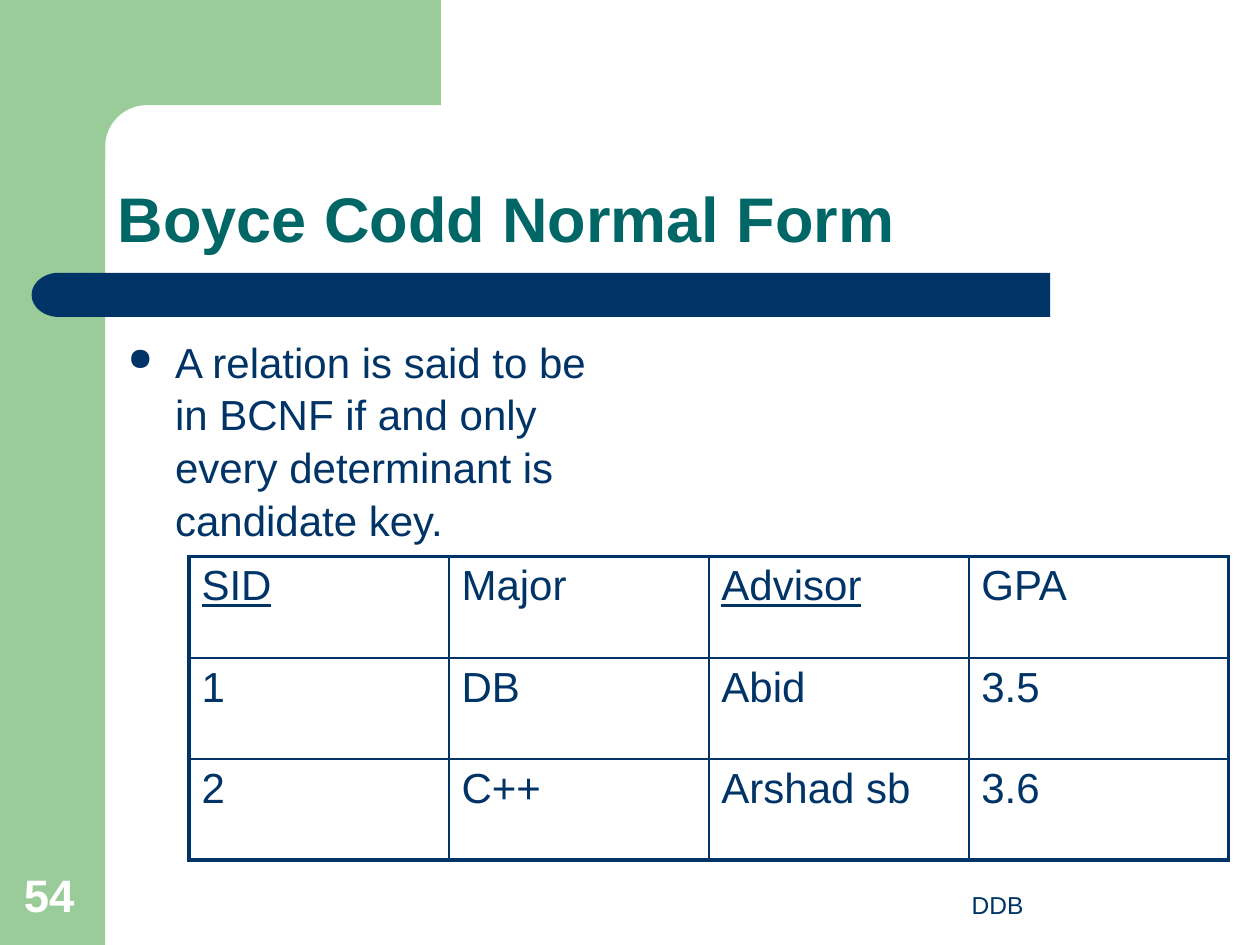
from math import cos, sin, radians
from lxml import etree
from pptx import Presentation
from pptx.dml.color import RGBColor
from pptx.enum.shapes import MSO_SHAPE
from pptx.enum.text import MSO_ANCHOR, MSO_AUTO_SIZE, PP_ALIGN
from pptx.oxml import parse_xml
from pptx.util import Cm, Pt

RECT, DELAY = MSO_SHAPE.RECTANGLE, MSO_SHAPE.FLOWCHART_DELAY
TOP, BOTTOM = MSO_ANCHOR.TOP, MSO_ANCHOR.BOTTOM
LEFT, CENTER = PP_ALIGN.LEFT, PP_ALIGN.CENTER
FIXED = MSO_AUTO_SIZE.NONE
GREEN = RGBColor(0x99, 0xCC, 0x99)
NAVY = RGBColor(0x00, 0x33, 0x66)
TEAL = RGBColor(0x00, 0x66, 0x66)
WHITE = RGBColor(0xFF, 0xFF, 0xFF)
NS = "http://schemas.openxmlformats.org/drawingml/2006/main"


def write(frame, text, size=24, color=NAVY, bold=False, under=False,
          align=LEFT, anchor=TOP, lead=1.0):
    frame.word_wrap = True
    frame.vertical_anchor = anchor
    par = frame.paragraphs[0]
    par.alignment = align
    par.line_spacing = lead
    run = par.add_run()
    run.text = text
    font = run.font
    font.name, font.size, font.bold = "Arial", Pt(size), bold
    font.underline = under
    font.color.rgb = color
    return par


def paint(shape, color):
    shape.shadow.inherit = False
    shape.fill.solid()
    shape.fill.fore_color.rgb = color
    shape.line.fill.background()


deck = Presentation()
deck.slide_width, deck.slide_height = Cm(25.4), Cm(19.05)
slide = deck.slides.add_slide(deck.slide_layouts[5])
shapes = slide.shapes

paint(shapes.add_shape(RECT, 0, 0, Cm(2.12), Cm(19.05)), GREEN)

mid, rad = 2.96, 0.84
arc = [(mid - rad * sin(radians(a)), mid - rad * cos(radians(a)))
       for a in range(0, 91, 5)]
edge = [(8.89, 2.12)] + arc + [(2.12, 3.25), (1.27, 3.25), (1.27, 0)]
pen = shapes.build_freeform(Cm(8.89), 0)
pen.add_line_segments([(Cm(x), Cm(y)) for x, y in edge])
paint(pen.convert_to_shape(), GREEN)

paint(shapes.add_shape(RECT, Cm(1.7), Cm(5.5), Cm(19.47), Cm(0.89)), NAVY)
cap = shapes.add_shape(DELAY, Cm(0.64), Cm(5.5), Cm(1.09), Cm(0.89))
paint(cap, NAVY)
cap._element.spPr.xfrm.set("flipH", "1")

foot = shapes.add_textbox(Cm(16.09), Cm(17.35), Cm(8.04), Cm(1.32))
write(foot.text_frame, "DDB", size=14, align=CENTER, anchor=BOTTOM)
page = shapes.add_textbox(Cm(0.23), Cm(17.35), Cm(1.63), Cm(1.35))
write(page.text_frame, "54", size=26, color=WHITE, bold=True, anchor=BOTTOM)

title = shapes.title
title.left, title.top = Cm(2.12), Cm(2.12)
title.width, title.height = Cm(22.01), Cm(3.17)
title.text_frame.auto_size = FIXED
write(title.text_frame, "Boyce Codd Normal Form", size=36, color=TEAL,
      bold=True, anchor=BOTTOM, lead=0.9)
shapes._spTree.append(title._element)

body = shapes.add_textbox(Cm(2.33), Cm(6.6), Cm(10.46), Cm(10.34))
par = write(body.text_frame, "A relation is said to be in BCNF if and only "
            "every determinant is candidate key.", lead=1.05)
props = par._p.get_or_add_pPr()
props.set("marL", str(Cm(0.95)))
props.set("indent", str(Cm(-0.95)))
for part in (f'<a:buClr xmlns:a="{NS}"><a:srgbClr val="{NAVY}"/></a:buClr>',
             f'<a:buSzPct xmlns:a="{NS}" val="75000"/>',
             f'<a:buChar xmlns:a="{NS}" char="●"/>'):
    props.append(parse_xml(part))

rows = [("SID", "Major", "Advisor", "GPA"),
        ("1", "DB", "Abid", "3.5"),
        ("2", "C++", "Arshad sb", "3.6")]
keys = ("SID", "Advisor")
high, wide = len(rows), len(rows[0])
grid = shapes.add_table(high, wide, Cm(3.81), Cm(11.22),
                        Cm(20.96), Cm(6.12)).table
grid.first_row = grid.horz_banding = False
for r, row in enumerate(rows):
    for c, text in enumerate(row):
        cell = grid.cell(r, c)
        write(cell.text_frame, text, under=text in keys)
        props = cell._tc.get_or_add_tcPr()
        outer = {"L": c == 0, "R": c == wide - 1,
                 "T": r == 0, "B": r == high - 1}
        for side, thick in outer.items():
            line = etree.SubElement(props, f"{{{NS}}}ln{side}",
                                    w=str(Pt(2.25 if thick else 1)))
            fill = etree.SubElement(line, f"{{{NS}}}solidFill")
            etree.SubElement(fill, f"{{{NS}}}srgbClr", val=str(NAVY))
        cell.fill.background()

deck.save("out.pptx")
